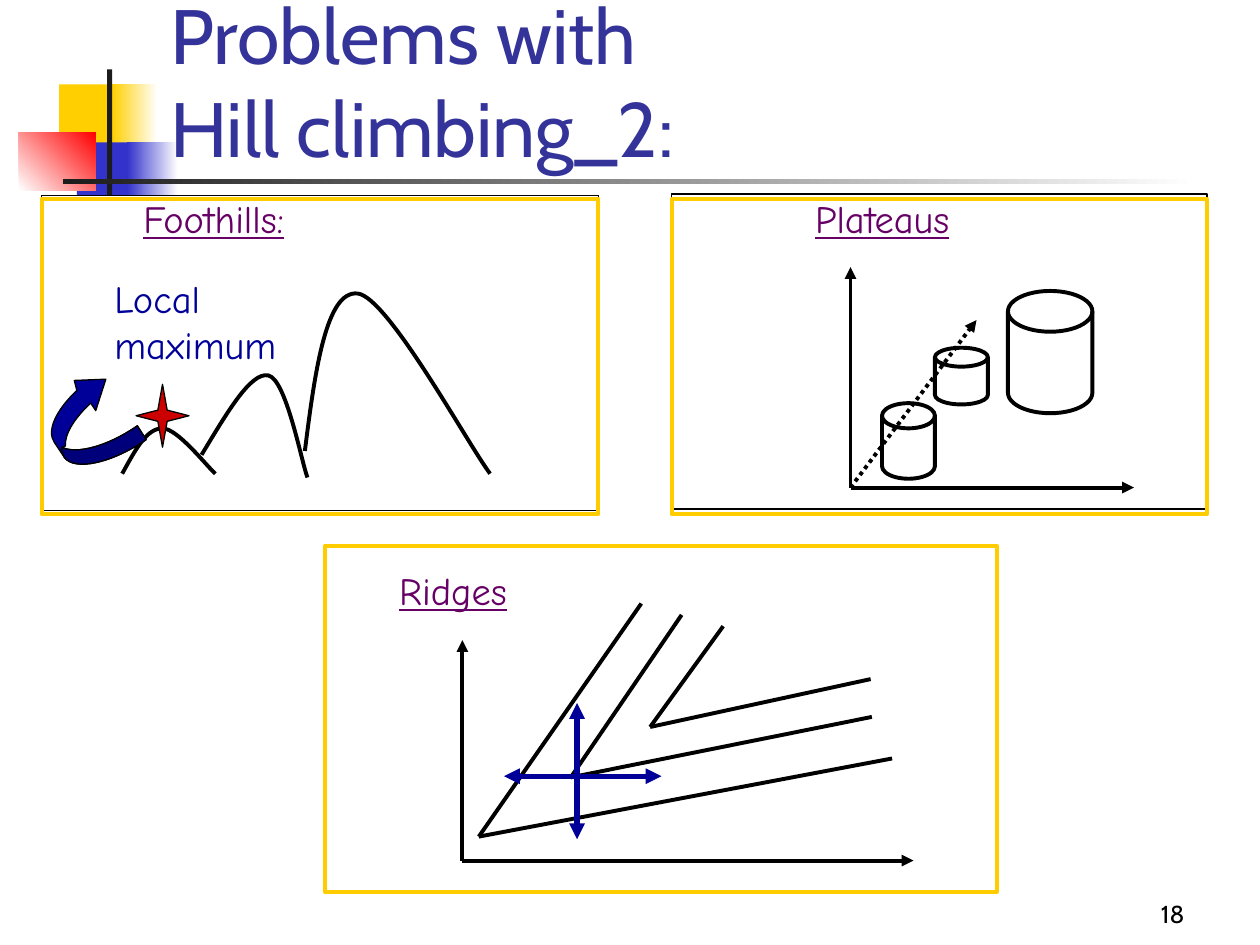
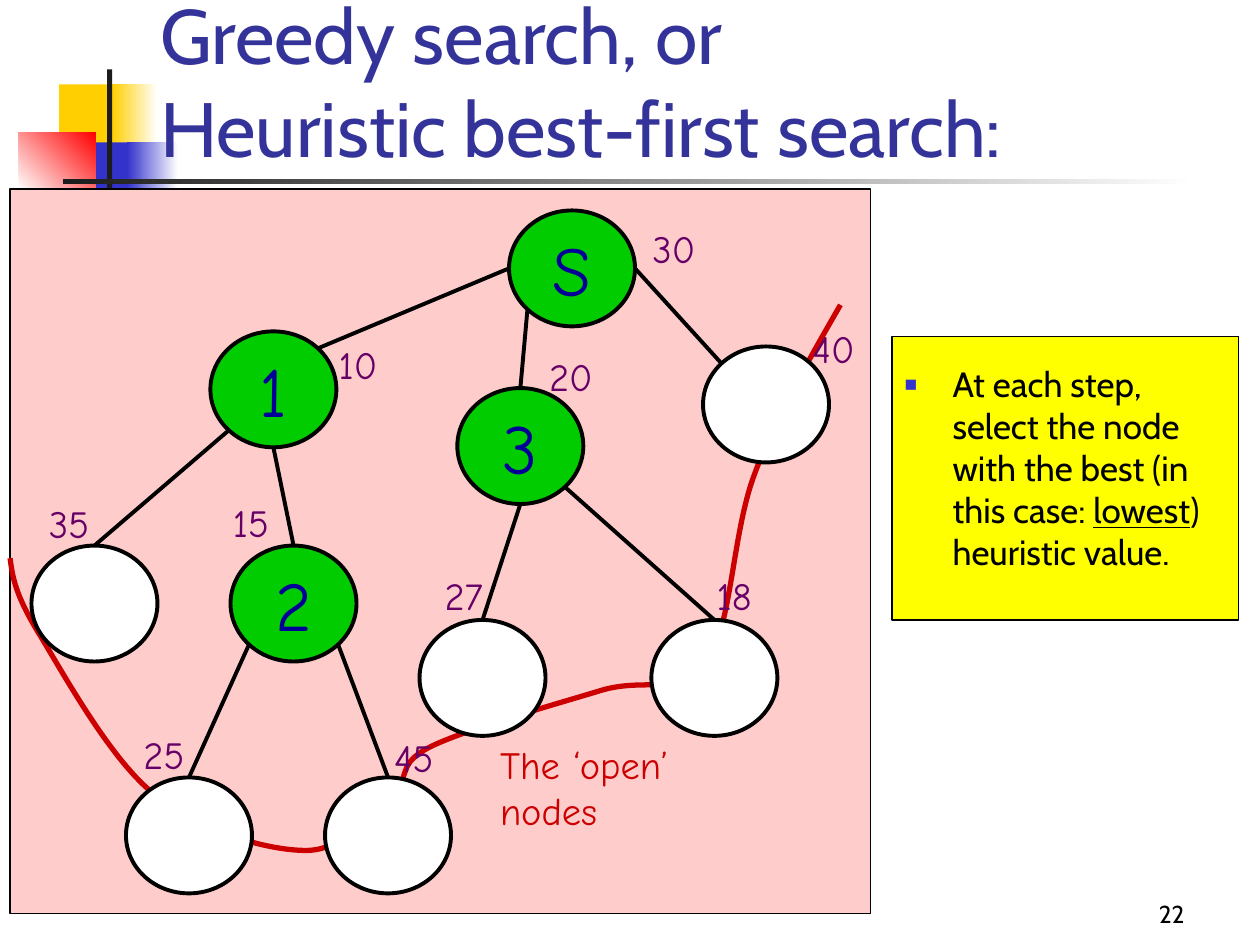
"""Build two lecture slides on hill climbing and greedy search."""
from math import cos, radians, sin

from lxml.etree import SubElement
from pptx import Presentation
from pptx.dml.color import RGBColor
from pptx.enum.dml import MSO_LINE
from pptx.enum.shapes import MSO_CONNECTOR, MSO_SHAPE
from pptx.enum.text import MSO_ANCHOR, MSO_AUTO_SIZE, PP_ALIGN
from pptx.oxml.ns import qn
from pptx.util import Inches, Pt

COLORS = {
    "black": "000000", "white": "FFFFFF", "charcoal": "1C1C1C", "title": "333399",
    "gold": "FFCF01", "blue": "3333CC", "red": "FF0000", "frame": "FFCC00",
    "purple": "660066", "navy": "000099", "shade": "00007A", "crimson": "CC0000",
    "green": "00CC00", "pink": "FFCCCC", "yellow": "FFFF00",
}
HEADING_FONT, HAND_FONT = "Cabin", "Comic Neue"
NODE_WIDTH, NODE_HEIGHT = 1, 0.92


def color(name):
    """Return the palette colour with this name."""
    return RGBColor.from_string(COLORS[name])


def write(frame, *paragraphs, size=22, font=HAND_FONT, ink="purple", underlined=(),
          align=PP_ALIGN.LEFT, anchor=MSO_ANCHOR.TOP, wrap=True, fit=MSO_AUTO_SIZE.NONE):
    """Fill a text frame with paragraphs, each a list of run texts or breaks."""
    frame.word_wrap, frame.auto_size, frame.vertical_anchor = wrap, fit, anchor
    for index, pieces in enumerate(paragraphs):
        paragraph = frame.add_paragraph() if index else frame.paragraphs[0]
        paragraph.alignment = align
        for piece in pieces:
            if piece == "\v":
                paragraph.add_line_break()
                continue
            run = paragraph.add_run()
            run.text = piece
            run.font.size, run.font.name = Pt(size), font
            run.font.color.rgb = color(ink)
            run.font.underline = piece in underlined


def rim(node, angle):
    """Return the point on a node's outline at a clockwise angle from the right."""
    left, top = node
    return (left + NODE_WIDTH / 2 * (1 + cos(radians(angle))),
            top + NODE_HEIGHT / 2 * (1 + sin(radians(angle))))


class Deck:
    """Hold the presentation, its style and the current slide."""

    def __init__(self):
        """Start an empty presentation."""
        self.presentation = Presentation()
        self.presentation.slide_width = Inches(10)
        self.presentation.slide_height = Inches(7.5)
        self.slide = None

    def start(self, layout, number, title, box):
        """Add a slide with the shared ornament, number and title."""
        self.slide = self.presentation.slides.add_slide(
            self.presentation.slide_layouts[layout])
        self.ornament()
        self.text((7.42, 6.92, 2.08, 0.5), [number], size=14, font=HEADING_FONT,
                  ink="black", align=PP_ALIGN.RIGHT, anchor=MSO_ANCHOR.BOTTOM, wrap=True,
                  fit=MSO_AUTO_SIZE.NONE)
        self.place(self.slide.shapes.title, box)
        write(self.slide.shapes.title.text_frame, title, size=44, font=HEADING_FONT,
              ink="title", anchor=MSO_ANCHOR.BOTTOM)

    def ornament(self):
        """Draw the coloured squares and the crossing rules."""
        self.shape((0.47, 0.67, 0.48, 0.52), "gold")
        self.gradient((0.89, 0.67, 0.36, 0.52), "gold", "white")
        self.shape((0.61, 1.13, 0.46, 0.52), "blue")
        self.gradient((1.01, 1.13, 0.4, 0.52), "blue", "white")
        self.gradient((0.15, 1.05, 0.61, 0.46), "white", "red", 45)
        self.shape((0.85, 0.55, 0.04, 1.15), "charcoal")
        self.gradient((0.5, 1.42, 9, 0.04), "charcoal", "white")

    def place(self, placeholder, box):
        """Move a placeholder into a box and in front of earlier shapes."""
        placeholder.left, placeholder.top, placeholder.width, placeholder.height = map(
            Inches, box)
        placeholder.element.getparent().append(placeholder.element)

    def paint(self, shape, fill, line, width):
        """Set the fill and outline of a shape."""
        shape.shadow.inherit = False
        if fill:
            shape.fill.solid()
            shape.fill.fore_color.rgb = color(fill)
        else:
            shape.fill.background()
        if line:
            shape.line.color.rgb = color(line)
            shape.line.width = Pt(width)
        else:
            shape.line.fill.background()

    def shape(self, box, fill=None, line=None, width=2.25, kind=MSO_SHAPE.RECTANGLE):
        """Add a preset shape."""
        shape = self.slide.shapes.add_shape(kind, *map(Inches, box))
        self.paint(shape, fill, line, width)
        return shape

    def gradient(self, box, first, last, angle=0):
        """Add a rectangle that fades between two colours."""
        shape = self.shape(box)
        shape.fill.gradient()
        shape.fill.gradient_angle = angle
        for stop, name in zip(shape.fill.gradient_stops, (first, last)):
            stop.color.rgb = color(name)

    def text(self, box, *paragraphs, wrap=False, fit=MSO_AUTO_SIZE.SHAPE_TO_FIT_TEXT,
             **style):
        """Add a text box."""
        shape = self.slide.shapes.add_textbox(*map(Inches, box))
        write(shape.text_frame, *paragraphs, wrap=wrap, fit=fit, **style)

    def line(self, start, end, ink="black", width=2.25, dash=None, arrows=()):
        """Add a straight line with optional arrowheads."""
        connector = self.slide.shapes.add_connector(
            MSO_CONNECTOR.STRAIGHT, *map(Inches, (*start, *end)))
        connector.line.color.rgb = color(ink)
        connector.line.width = Pt(width)
        if dash:
            connector.line.dash_style = dash
        properties = connector.element.spPr
        for arrow in arrows:
            SubElement(properties.find(qn("a:ln")), qn(f"a:{arrow}"), type="triangle")
        SubElement(properties, qn("a:effectLst"))

    def outline(self, start, *segments, fill=None, line="black", width=2.25):
        """Add a freeform of straight (one point) and curved (three points) segments."""
        builder = self.slide.shapes.build_freeform(*map(Inches, start))
        builder.add_line_segments(
            [tuple(map(Inches, point)) for segment in segments for point in segment],
            close=bool(fill))
        shape = builder.convert_to_shape()
        steps = iter(list(shape.element.iter(qn("a:lnTo"))))
        for segment in segments:
            first, *others = [next(steps) for _ in segment]
            if others:
                curve = SubElement(first.getparent(), qn("a:cubicBezTo"))
                first.addprevious(curve)
                for step in (first, *others):
                    curve.append(step[0])
                    step.getparent().remove(step)
        self.paint(shape, fill, line, width)

    def axes(self, origin, right, top):
        """Add a pair of arrows from an origin."""
        for end in ((right, origin[1]), (origin[0], top)):
            self.line(origin, end, arrows=["tailEnd"])

    def panel(self, box, frame_top, heading, heading_box):
        """Add a white panel with a yellow frame and an underlined heading."""
        left, _, width, height = box
        self.shape(box, "white", "black", 0.75)
        self.shape((left, frame_top, width, height), line="frame")
        self.text(heading_box, [heading], underlined=[heading])

    def node(self, corner, label):
        """Add a tree node, green when it carries a visiting label."""
        shape = self.shape((*corner, NODE_WIDTH, NODE_HEIGHT), "green" if label else "white",
                           "black", kind=MSO_SHAPE.OVAL)
        if label:
            write(shape.text_frame, [label], size=40, ink="navy", align=PP_ALIGN.CENTER,
                  anchor=MSO_ANCHOR.MIDDLE, wrap=False)

    def bullet(self, paragraph):
        """Give a paragraph a small blue square bullet."""
        paragraph.space_before = Pt(5)
        properties = paragraph._p.get_or_add_pPr()
        properties.set("marL", str(Inches(0.38)))
        properties.set("indent", str(Inches(-0.38)))
        bullet_color = SubElement(properties, qn("a:buClr"))
        SubElement(bullet_color, qn("a:srgbClr"), val=COLORS["blue"])
        SubElement(properties, qn("a:buSzPct"), val="60000")
        SubElement(properties, qn("a:buChar"), char="■")


def foothills(deck):
    """Draw three hills with a star on the local maximum."""
    deck.panel((0.33, 1.55, 4.42, 2.5), 1.58, "Foothills:", (1.04, 1.5, 1.4, 0.47))
    hills = [
        ((0.97, 3.76), ((1.07, 3.58), (1.16, 3.4), (1.29, 3.4)),
         ((1.41, 3.4), (1.64, 3.7), (1.71, 3.76))),
        ((1.6, 3.61), ((1.8, 3.28), (1.99, 2.95), (2.13, 2.98)),
         ((2.27, 3.01), (2.39, 3.65), (2.44, 3.79))),
        ((2.42, 3.58), ((2.5, 2.94), (2.59, 2.3), (2.84, 2.33)),
         ((3.08, 2.36), (3.71, 3.52), (3.89, 3.76))),
    ]
    for hill in hills:
        deck.outline(*hill)
    deck.text((0.81, 2.13, 1.55, 0.84), ["Local"], ["maximum"], ink="navy")
    tail, bend = (1.16, 3.49), ((0.88, 3.68), (0.59, 3.74), (0.51, 3.63))
    inner_bend = ((0.61, 3.61), (0.86, 3.54), (1.09, 3.38))
    deck.outline(tail, bend, [(0.43, 3.51)], ((0.37, 3.42), (0.44, 3.26), (0.61, 3.1)),
                 [(0.59, 3.02)], [(0.84, 3.01)], [(0.76, 3.26)], [(0.72, 3.2)],
                 ((0.59, 3.32), (0.51, 3.45), (0.52, 3.54)), [(0.49, 3.55)], inner_bend,
                 fill="navy", width=0.75)
    deck.outline(tail, bend, ((0.5, 3.61), (0.49, 3.59), (0.49, 3.55)), inner_bend,
                 fill="shade", width=0.75)
    deck.shape((1.08, 3.05, 0.42, 0.5), "crimson", "black", 0.75, MSO_SHAPE.STAR_4_POINT)


def plateaus(deck):
    """Draw flat-topped cylinders along a dotted path."""
    deck.panel((5.33, 1.54, 4.25, 2.5), 1.58, "Plateaus", (6.37, 1.5, 1.35, 0.47))
    for box in ((7, 3.2, 0.42, 0.6), (8, 2.31, 0.67, 0.97), (7.42, 2.76, 0.42, 0.45)):
        deck.shape(box, line="black", kind=MSO_SHAPE.FLOWCHART_MAGNETIC_DISK)
    origin = (6.75, 3.87)
    deck.axes(origin, 9, 2.12)
    deck.line(origin, (7.75, 2.54), dash=MSO_LINE.ROUND_DOT, arrows=["tailEnd"])


def ridges(deck):
    """Draw nested ridge lines with a cross of moves."""
    deck.panel((2.58, 4.33, 5.33, 2.75), 4.33, "Ridges", (3.07, 4.45, 1.15, 0.47))
    for upper, corner, lower in (((5.74, 4.97), (5.16, 5.77), (6.91, 5.39)),
                                 ((5.41, 4.88), (4.53, 6.17), (6.92, 5.69)),
                                 ((5.09, 4.79), (3.8, 6.64), (7.08, 6.02))):
        deck.line(upper, corner)
        deck.line(corner, lower)
    deck.axes((3.67, 6.83), 7.25, 5.08)
    for start, end in (((4, 6.16), (5.25, 6.16)), ((4.58, 6.66), (4.58, 5.58))):
        deck.line(start, end, "navy", 3, arrows=["headEnd", "tailEnd"])


def search_tree(deck):
    """Draw the search tree over the curve through its open nodes."""
    deck.shape((0.08, 1.5, 6.83, 5.75), "pink", "black", 0.75)
    deck.outline((0.08, 4.43), ((0.1, 4.58), (0.12, 4.72), (0.31, 5.03)),
                 ((0.5, 5.34), (0.87, 6.02), (1.22, 6.3)),
                 ((1.57, 6.59), (2.11, 6.75), (2.43, 6.75)),
                 ((2.74, 6.75), (2.95, 6.44), (3.11, 6.3)),
                 ((3.27, 6.16), (3.14, 6.07), (3.41, 5.93)),
                 ((3.69, 5.79), (4.41, 5.59), (4.77, 5.48)),
                 ((5.14, 5.37), (5.41, 5.54), (5.61, 5.26)),
                 ((5.81, 4.97), (5.81, 4.23), (5.99, 3.76)),
                 ((6.16, 3.29), (6.55, 2.63), (6.67, 2.42)), line="crimson", width=3)
    deck.text((3.87, 5.83, 1.65, 0.84), ["The ‘open’"], ["nodes"], ink="crimson")
    nodes = {
        "30": ((4.04, 1.67), "S", (5.08, 1.74)), "10": ((1.67, 2.63), "1", (2.59, 2.66)),
        "20": ((3.63, 3.08), "3", (4.26, 2.75)), "40": ((5.58, 2.75), "", (6.35, 2.53)),
        "35": ((0.25, 4.33), "", (0.29, 3.92)), "15": ((1.83, 4.33), "2", (1.75, 3.91)),
        "25": ((1, 6.17), "", (1.04, 5.75)), "45": ((2.58, 6.17), "", (3.03, 5.78)),
        "27": ((3.33, 4.92), "", (3.43, 4.49)), "18": ((5.17, 4.92), "", (5.59, 4.49)),
    }
    for parent, leaving, child, arriving in (
            ("30", 180, "10", 315), ("30", 135, "20", 270), ("30", 0, "40", 225),
            ("10", 135, "35", 270), ("10", 90, "15", 270), ("15", 135, "25", 270),
            ("15", 45, "45", 270), ("20", 90, "27", 270), ("20", 45, "18", 270)):
        deck.line(rim(nodes[parent][0], leaving), rim(nodes[child][0], arriving))
    for value, (corner, label, value_corner) in nodes.items():
        deck.node(corner, label)
        deck.text((*value_corner, 0.6, 0.47), [value])


def main():
    """Build both slides and save them."""
    deck = Deck()
    deck.start(5, "18", ["Problems with ", "\v", "Hill climbing_2:"],
               (1.25, 0.17, 7.83, 1.25))
    foothills(deck)
    plateaus(deck)
    ridges(deck)

    deck.start(1, "22", ["Greedy search, or", "\v", "Heuristic best-first search:"],
               (1.17, 0.17, 7.92, 1.25))
    search_tree(deck)
    deck.shape((7.08, 2.67, 2.75, 2.25), "yellow", "black", 0.75)
    body = deck.slide.placeholders[1]
    deck.place(body, (7.08, 2.83, 2.75, 3))
    write(body.text_frame,
          ["At each step, select the node with the best (in this case: ", "lowest",
           ") heuristic value."],
          size=20, font=HEADING_FONT, ink="black", underlined=["lowest"])
    deck.bullet(body.text_frame.paragraphs[0])
    deck.presentation.save("out.pptx")


if __name__ == "__main__":
    main()
